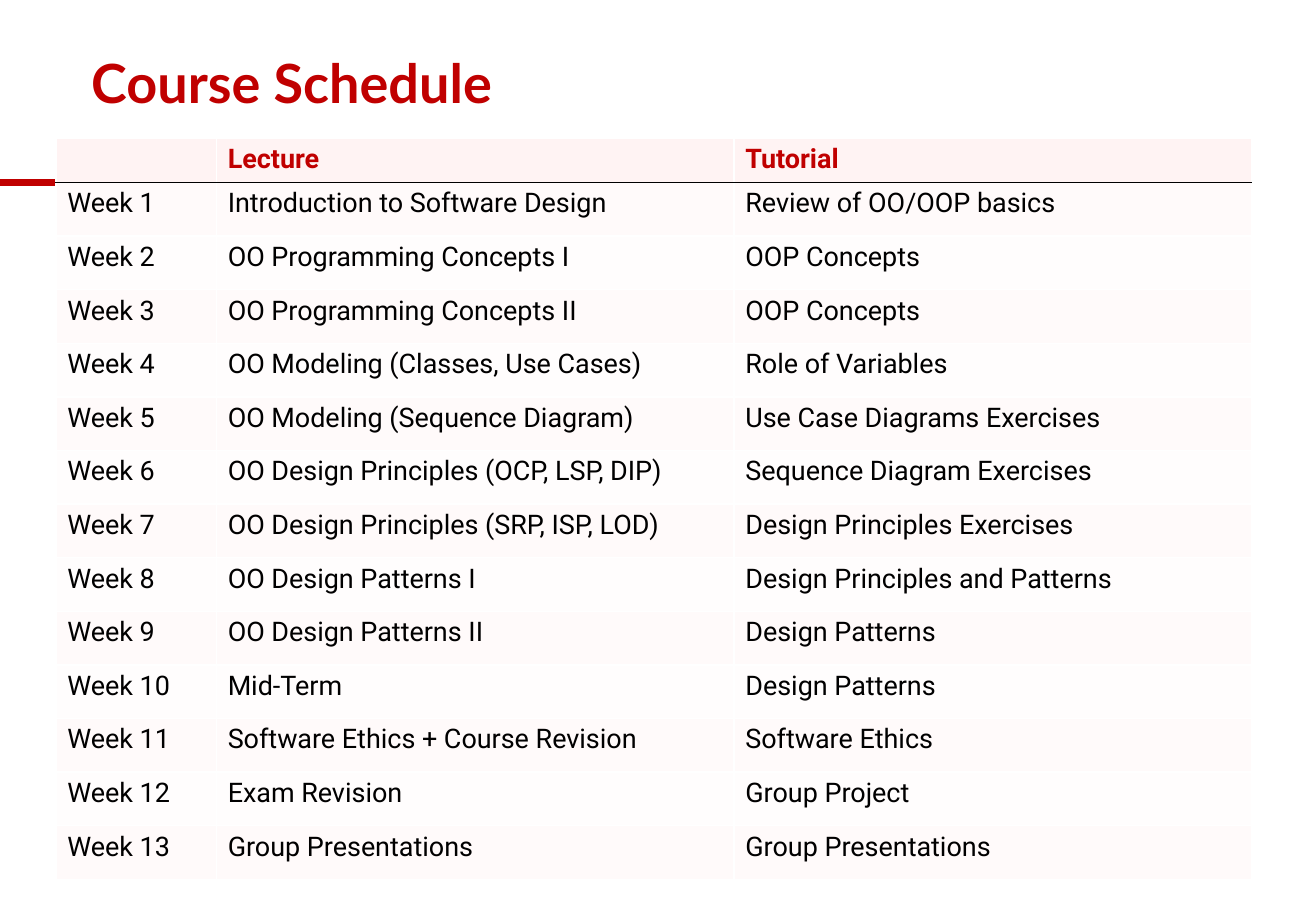
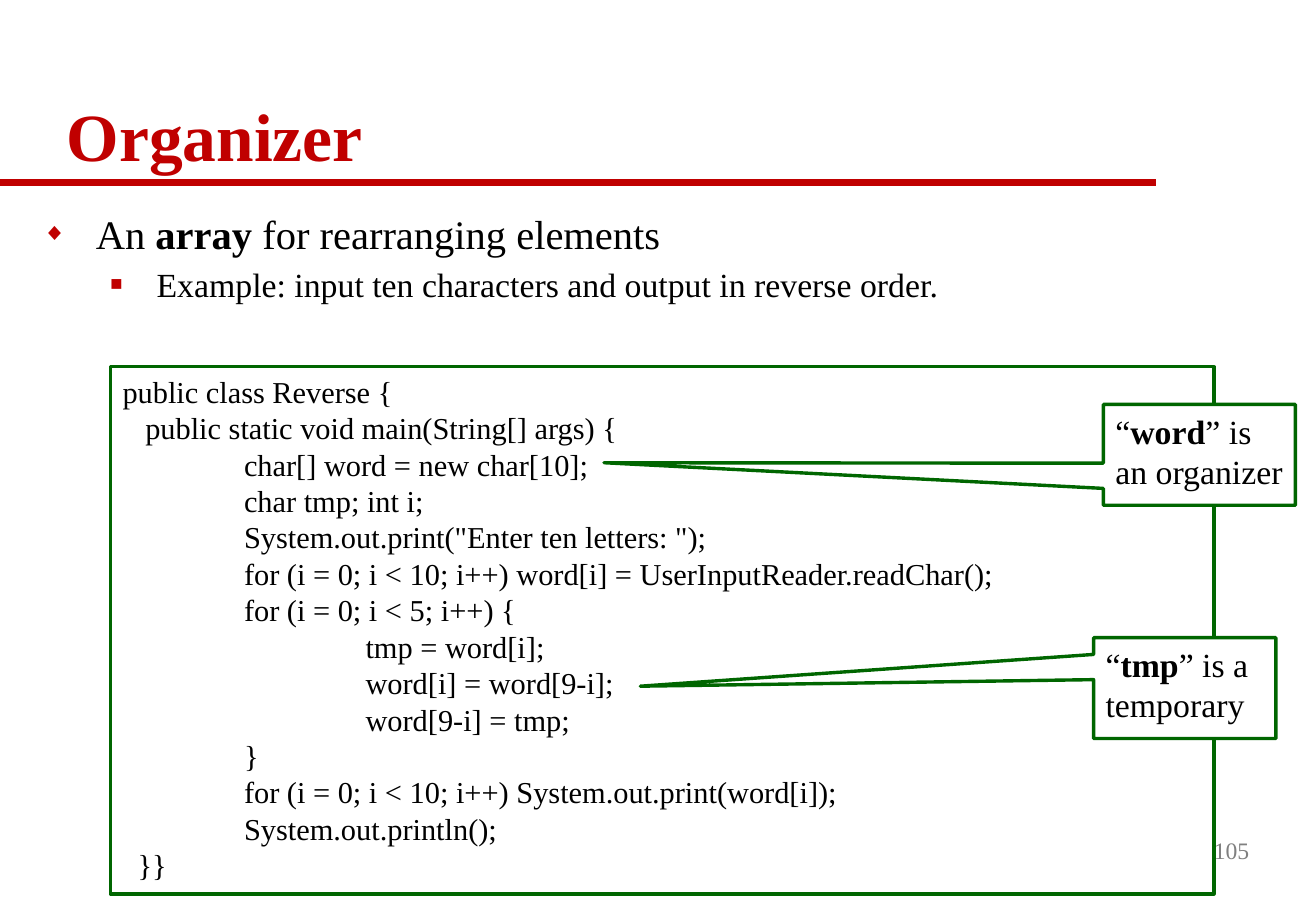
import pptx
import pptx.util
import pptx.dml.color
import pptx.enum.shapes
import pptx.enum.text
import pptx.oxml.ns
from lxml import etree

Inches = pptx.util.Inches
Pt = pptx.util.Pt
qn = pptx.oxml.ns.qn
SHAPE = pptx.enum.shapes.MSO_SHAPE
ANCHOR = pptx.enum.text.MSO_ANCHOR
ALIGN = pptx.enum.text.PP_ALIGN

COLORS = {
    "accent": "C00000", "text": "000000", "number": "808080", "frame": "006600",
    "white": "FFFFFF", "header": "FFF3F3", "odd": "FFFAFA", "even": "FFFDFD",
}
SERIF = "Times New Roman"
TABLE_FONT = "Roboto"

SCHEDULE = [
    ("", "Lecture", "Tutorial"),
    ("Week 1", "Introduction to Software Design", "Review of OO/OOP basics"),
    ("Week 2", "OO Programming Concepts I", "OOP Concepts"),
    ("Week 3", "OO Programming Concepts II", "OOP Concepts"),
    ("Week 4", "OO Modeling (Classes, Use Cases)", "Role of Variables"),
    ("Week 5", "OO Modeling (Sequence Diagram)", "Use Case Diagrams Exercises"),
    ("Week 6", "OO Design Principles (OCP, LSP, DIP)", "Sequence Diagram Exercises"),
    ("Week 7", "OO Design Principles (SRP, ISP, LOD)", "Design Principles Exercises"),
    ("Week 8", "OO Design Patterns I", "Design Principles and Patterns"),
    ("Week 9", "OO Design Patterns II", "Design Patterns"),
    ("Week 10", "Mid-Term", "Design Patterns"),
    ("Week 11", "Software Ethics + Course Revision", "Software Ethics"),
    ("Week 12", "Exam Revision", "Group Project"),
    ("Week 13", "Group Presentations", "Group Presentations"),
]

CODE = """public class Reverse {
   public static void main(String[] args) {
\tchar[] word = new char[10];
\tchar tmp; int i;
\tSystem.out.print("Enter ten letters: ");
\tfor (i = 0; i < 10; i++) word[i] = UserInputReader.readChar();
\tfor (i = 0; i < 5; i++) {
\t\ttmp = word[i];
\t\tword[i] = word[9-i];
\t\tword[9-i] = tmp;
\t}
\tfor (i = 0; i < 10; i++) System.out.print(word[i]);
\tSystem.out.println();
  }}"""


def rgb(name):
    return pptx.dml.color.RGBColor.from_string(COLORS[name])


def add_span(para, text, size, color="text", bold=False, font=SERIF):
    span = para.add_run()
    span.text = text
    span.font.name = font
    span.font.size = Pt(size)
    span.font.bold = bold
    span.font.color.rgb = rgb(color)


def place(shape, box):
    shape.left, shape.top, shape.width, shape.height = map(Inches, box)


# Title and red rule shared by the slides
def add_page(deck, title, box, font, size):
    page = deck.slides.add_slide(deck.slide_layouts[5])
    place(page.shapes.title, box)
    frame = page.shapes.title.text_frame
    frame.auto_size = pptx.enum.text.MSO_AUTO_SIZE.NONE
    frame.vertical_anchor = ANCHOR.BOTTOM
    para = frame.paragraphs[0]
    para.alignment = ALIGN.LEFT
    para.line_spacing = 0.9
    add_span(para, title, size, "accent", True, font)

    rule = page.shapes.add_connector(
        pptx.enum.shapes.MSO_CONNECTOR.STRAIGHT,
        0, Inches(1.5), Inches(9.51), Inches(1.5))
    rule.line.color.rgb = rgb("accent")
    rule.line.width = Pt(4)
    etree.SubElement(rule._element.spPr, qn("a:effectLst"))
    return page


# Schedule table
def set_borders(cell, **colors):
    properties = cell._tc.get_or_add_tcPr()
    for side in "LRTB":
        line = etree.SubElement(properties, qn("a:ln" + side), w=str(Pt(1)))
        fill = etree.SubElement(line, qn("a:solidFill"))
        etree.SubElement(fill, qn("a:srgbClr"), val=COLORS[colors.get(side, "white")])


def add_schedule(page, box):
    left, top, width, height = box
    table = page.shapes.add_table(len(SCHEDULE), 3, *map(Inches, box)).table
    table.first_row = table.horz_banding = False
    week_width, header_height = 1.32, 0.29
    for index, column in enumerate(table.columns):
        column.width = Inches((width - week_width) / 2 if index else week_width)
    for index, row in enumerate(table.rows):
        row.height = Inches(
            (height - header_height) / (len(SCHEDULE) - 1) if index else header_height)
        header = index == 0
        band = "header" if header else ("odd" if index % 2 else "even")
        edges = {0: {"B": "text"}, 1: {"T": "text"}}.get(index, {})
        for cell, text in zip(row.cells, SCHEDULE[index]):
            cell.margin_left = cell.margin_right = Inches(0.095)
            cell.margin_top = cell.margin_bottom = Inches(0.045)
            set_borders(cell, **edges)
            cell.fill.solid()
            cell.fill.fore_color.rgb = rgb(band)
            para = cell.text_frame.paragraphs[0]
            if text:
                add_span(para, text, 16, "accent" if header else "text", header, TABLE_FONT)
            else:
                etree.SubElement(para._p, qn("a:endParaRPr"), sz="1600")


# Bulleted text
def add_bullet(para, level, symbol, left, hanging):
    para.level = level
    properties = para._p.get_or_add_pPr()
    properties.set("marL", str(Inches(left)))
    properties.set("indent", str(-Inches(hanging)))
    color = etree.SubElement(properties, qn("a:buClr"))
    etree.SubElement(color, qn("a:srgbClr"), val=COLORS["accent"])
    etree.SubElement(properties, qn("a:buSzPct"), val="60000")
    etree.SubElement(properties, qn("a:buFont"), typeface=SERIF)
    etree.SubElement(properties, qn("a:buChar"), char=symbol)


def add_body(page, box):
    frame = page.shapes.add_textbox(*map(Inches, box)).text_frame
    frame.word_wrap = True
    para = frame.paragraphs[0]
    add_bullet(para, 0, "◆", 0.44, 0.44)
    for text, bold in (("An ", False), ("array", True), (" for rearranging elements", False)):
        add_span(para, text, 24, bold=bold)
    para = frame.add_paragraph()
    para.space_before = Pt(3.6)
    add_bullet(para, 1, "■", 0.94, 0.38)
    add_span(para, "Example: input ten characters and output in reverse order.", 20)


def add_page_number(page, box, number):
    frame = page.shapes.add_textbox(*map(Inches, box)).text_frame
    frame.vertical_anchor = ANCHOR.MIDDLE
    frame.word_wrap = True
    para = frame.paragraphs[0]
    para.alignment = ALIGN.RIGHT
    add_span(para, number, 14, "number")


# Green-framed code and callouts
def add_framed(page, kind, box):
    shape = page.shapes.add_shape(kind, *map(Inches, box))
    shape.shadow.inherit = False
    shape.fill.solid()
    shape.fill.fore_color.rgb = rgb("white")
    shape.line.color.rgb = rgb("frame")
    shape.line.width = Pt(2)
    shape.text_frame.word_wrap = True
    shape.text_frame.vertical_anchor = ANCHOR.TOP
    return shape


def add_code(page, box):
    frame = add_framed(page, SHAPE.RECTANGLE, box).text_frame
    for index, line in enumerate(CODE.split("\n")):
        para = frame.add_paragraph() if index else frame.paragraphs[0]
        para.alignment = ALIGN.LEFT
        tabs = etree.SubElement(para._p.get_or_add_pPr(), qn("a:tabLst"))
        for stop in (1, 2):
            etree.SubElement(tabs, qn("a:tab"), pos=str(Inches(stop)), algn="l")
        add_span(para, line, 18)


def add_callout(page, box, tip, variable, role):
    callout = add_framed(page, SHAPE.RECTANGULAR_CALLOUT, box)
    left, top, width, height = box
    callout.adjustments[0] = (tip[0] - left) / width - 0.5
    callout.adjustments[1] = (tip[1] - top) / height - 0.5
    para = callout.text_frame.paragraphs[0]
    para.alignment = ALIGN.LEFT
    for text, bold in (("“", False), (variable, True), ("” is " + role, False)):
        add_span(para, text, 20, bold=bold)


def build_schedule(deck):
    page = add_page(deck, "Course Schedule", (0.65, 0.12, 9.91, 0.88), "Lato", 32)
    add_schedule(page, (0.46, 1.14, 9.84, 6.03))


def build_organizer(deck):
    page = add_page(deck, "Organizer", (0.45, 0.29, 9.88, 1.21), SERIF, 40)
    add_body(page, (0.25, 1.67, 10.58, 5.42))
    add_page_number(page, (8.12, 6.75, 2.26, 0.5), "105")
    add_code(page, (0.91, 3.02, 9.08, 4.34))
    add_callout(page, (9, 5.25, 1.5, 0.83), (5.27, 5.65), "tmp", "a temporary")
    add_callout(page, (9.08, 3.33, 1.58, 0.83), (4.97, 3.81), "word", "an organizer")


def main():
    deck = pptx.Presentation()
    deck.slide_width = Inches(10.83)
    deck.slide_height = Inches(7.5)
    build_schedule(deck)
    build_organizer(deck)
    deck.save("out.pptx")


if __name__ == "__main__":
    main()
